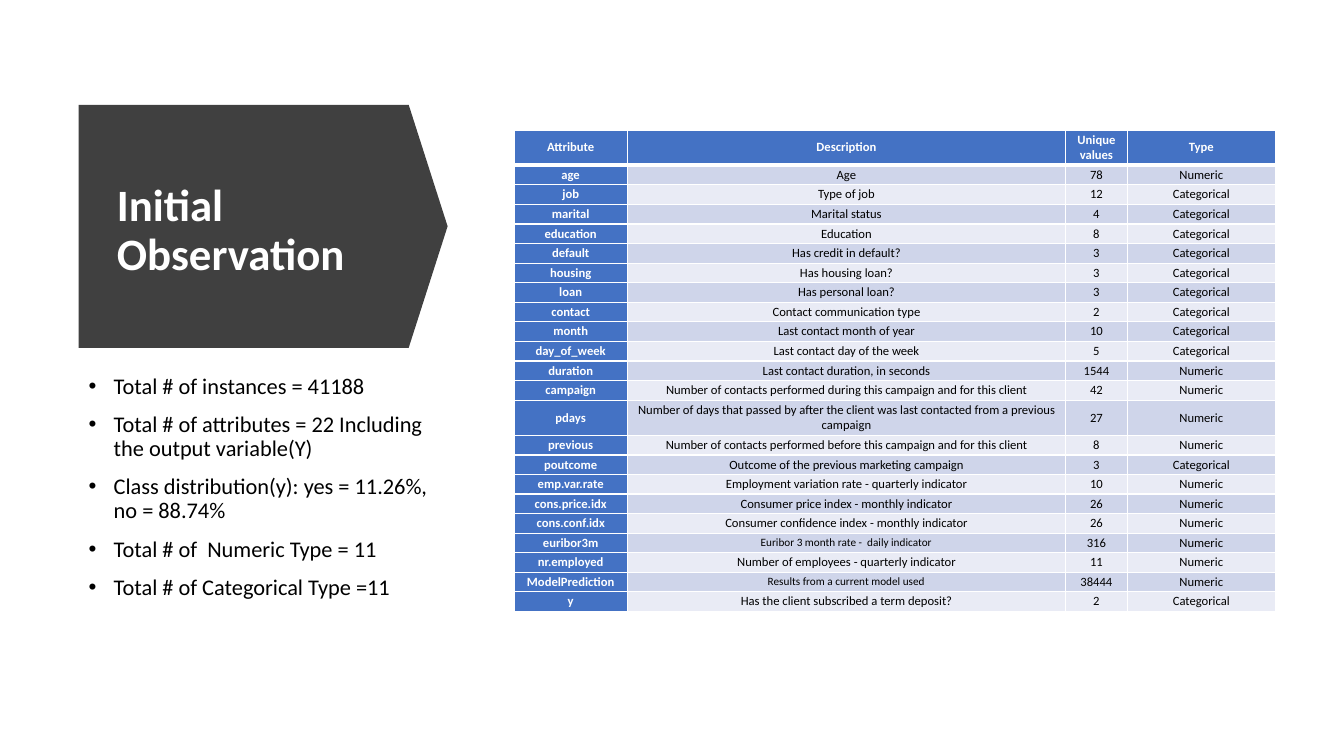
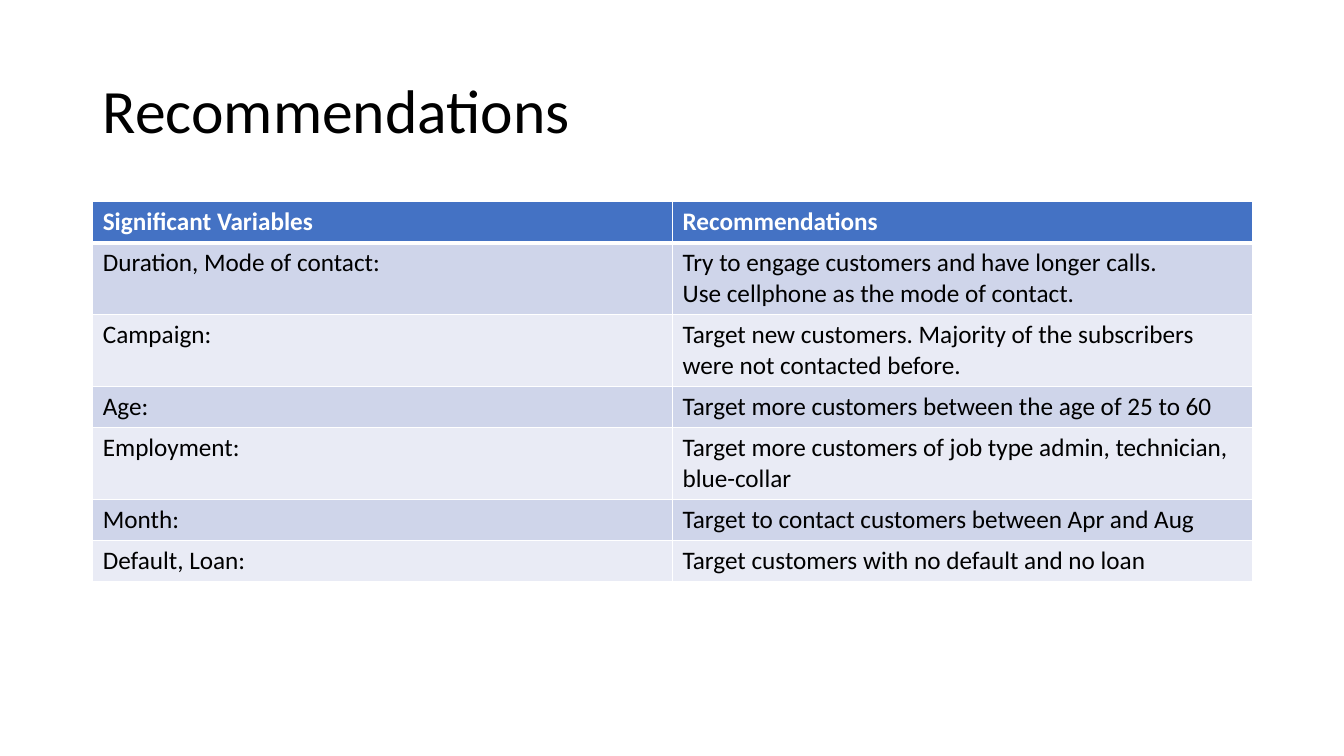
from dataclasses import dataclass

from lxml.etree import SubElement
from pptx import Presentation
from pptx.dml.color import RGBColor as RGB
from pptx.enum.shapes import MSO_SHAPE as Shape
from pptx.enum.text import MSO_ANCHOR as Anchor, MSO_AUTO_SIZE as AutoSize, PP_ALIGN as Align
from pptx.oxml.ns import qn
from pptx.util import Inches, Pt


@dataclass(frozen=True)
class Theme:
    font: str = "Calibri"
    white: RGB = RGB(0xFF, 0xFF, 0xFF)
    black: RGB = RGB(0, 0, 0)
    banner: RGB = RGB(0x40, 0x40, 0x40)
    accent: RGB = RGB(0x44, 0x72, 0xC4)
    bands: tuple = (RGB(0xCF, 0xD5, 0xEA), RGB(0xE9, 0xEB, 0xF5))
    title: int = 44
    banner_title: int = 32
    body: int = 16
    table: int = 18
    small_table: int = 9
    smallest: int = 8
    line_spacing: float = 0.9
    thin: int = 1
    thick: int = 3


THEME = Theme()


def format_text(frame, size, color, bold=False, align=Align.LEFT):
    for paragraph in frame.paragraphs:
        paragraph.alignment = align
        for run in paragraph.runs:
            font = run.font
            font.name, font.size, font.bold = THEME.font, Pt(size), bold
            font.color.rgb = color


def add_banded_table(slide, left, top, widths, heights, rows, size, align, header_column):
    """Add a table with white rules, an accent header and alternating row fills."""
    frame = slide.shapes.add_table(len(rows), len(widths), Inches(left), Inches(top),
                                   Inches(sum(widths)), Inches(sum(heights)))
    table = frame.table
    table.first_col = header_column
    for column, width in zip(table.columns, widths):
        column.width = Inches(width)
    for row_index, (values, height) in enumerate(zip(rows, heights)):
        table.rows[row_index].height = Inches(height)
        for column_index, value in enumerate(values):
            cell = table.cell(row_index, column_index)
            properties = cell._tc.get_or_add_tcPr()
            for side in ("lnL", "lnR", "lnT", "lnB"):
                under_header = (row_index, side) in ((0, "lnB"), (1, "lnT"))
                width = THEME.thick if under_header else THEME.thin
                line = SubElement(properties, qn(f"a:{side}"), w=str(Pt(width)))
                fill = SubElement(line, qn("a:solidFill"))
                SubElement(fill, qn("a:srgbClr"), val=str(THEME.white))
            is_header = row_index == 0 or (header_column and column_index == 0)
            cell.fill.solid()
            cell.fill.fore_color.rgb = THEME.accent if is_header else THEME.bands[(row_index - 1) % 2]
            cell.text_frame.text = value
            format_text(cell.text_frame, size, THEME.white if is_header else THEME.black,
                        is_header, align)
    return table


presentation = Presentation()
presentation.slide_width, presentation.slide_height = Inches(13.33), Inches(7.5)
title_only = presentation.slide_layouts[5]

# Titles
titles = (
    ("Initial Observation", (1.06, 1.32, 2.92, 1.95), THEME.banner_title, THEME.white, True),
    ("Recommendations", (0.92, 0.4, 11.5, 1.45), THEME.title, THEME.black, False),
)
for text, box, size, color, bold in titles:
    slide = presentation.slides.add_slide(title_only)
    title = slide.shapes.title
    title.left, title.top, title.width, title.height = map(Inches, box)
    frame = title.text_frame
    frame.text = text
    frame.word_wrap = True
    frame.auto_size = AutoSize.NONE
    frame.vertical_anchor = Anchor.MIDDLE
    frame.paragraphs[0].line_spacing = THEME.line_spacing
    format_text(frame, size, color, bold)
observation, recommendations = presentation.slides

# Initial observation: banner behind the title
banner = observation.shapes.add_shape(Shape.PENTAGON, Inches(0.78), Inches(1.04),
                                      Inches(3.66), Inches(2.41))
banner.adjustments[0] = 0.16
banner.shadow.inherit = False
banner.fill.solid()
banner.fill.fore_color.rgb = THEME.banner
banner.line.fill.background()
observation.shapes.title.element.addprevious(banner.element)

# Initial observation: key facts
facts = (
    "Total # of instances = 41188",
    "Total # of attributes = 22 Including the output variable(Y)",
    "Class distribution(y): yes = 11.26%, no = 88.74%",
    "Total # of  Numeric Type = 11",
    "Total # of Categorical Type =11",
)
facts_box = observation.shapes.add_textbox(Inches(0.78), Inches(3.67), Inches(3.66), Inches(2.65))
frame = facts_box.text_frame
frame.word_wrap = True
frame.text = "\n".join(facts)
format_text(frame, THEME.body, THEME.black)
for paragraph in frame.paragraphs:
    paragraph.line_spacing = THEME.line_spacing
    paragraph.space_before = Pt(10)
    properties = paragraph._p.get_or_add_pPr()
    properties.set("marL", str(Inches(0.25)))
    properties.set("indent", str(-Inches(0.25)))
    SubElement(properties, qn("a:buFont"), typeface="Arial")
    SubElement(properties, qn("a:buChar"), char="•")

# Initial observation: attribute table
attributes = (
    ("Attribute", "Description", "Unique values", "Type"),
    ("age", "Age", "78", "Numeric"),
    ("job", "Type of job", "12", "Categorical"),
    ("marital", "Marital status", "4", "Categorical"),
    ("education", "Education", "8", "Categorical"),
    ("default", "Has credit in default?", "3", "Categorical"),
    ("housing", "Has housing loan?", "3", "Categorical"),
    ("loan", "Has personal loan?", "3", "Categorical"),
    ("contact", "Contact communication type", "2", "Categorical"),
    ("month", "Last contact month of year", "10", "Categorical"),
    ("day_of_week", "Last contact day of the week", "5", "Categorical"),
    ("duration", "Last contact duration, in seconds", "1544", "Numeric"),
    ("campaign", "Number of contacts performed during this campaign and for this client",
     "42", "Numeric"),
    ("pdays", "Number of days that passed by after the client was last contacted "
     "from a previous campaign", "27", "Numeric"),
    ("previous", "Number of contacts performed before this campaign and for this client",
     "8", "Numeric"),
    ("poutcome", "Outcome of the previous marketing campaign", "3", "Categorical"),
    ("emp.var.rate", "Employment variation rate - quarterly indicator", "10", "Numeric"),
    ("cons.price.idx", "Consumer price index - monthly indicator", "26", "Numeric"),
    ("cons.conf.idx", "Consumer confidence index - monthly indicator", "26", "Numeric"),
    ("euribor3m", "Euribor 3 month rate -  daily indicator", "316", "Numeric"),
    ("nr.employed", "Number of employees - quarterly indicator", "11", "Numeric"),
    ("ModelPrediction", "Results from a current model used", "38444", "Numeric"),
    ("y", "Has the client subscribed a term deposit?", "2", "Categorical"),
)
two_line_rows = ("Attribute", "pdays")
tall = 0.35
short = (4.78 - tall * len(two_line_rows)) / (len(attributes) - len(two_line_rows))
heights = [tall if row[0] in two_line_rows else short for row in attributes]
table = add_banded_table(observation, 5.1, 1.29, (1.12, 4.35, 0.61, 1.47), heights,
                         attributes, THEME.small_table, Align.CENTER, True)
for cell in table.iter_cells():
    cell.vertical_anchor = Anchor.MIDDLE
    cell.margin_left = cell.margin_right = Inches(0.04)
    cell.margin_top = cell.margin_bottom = 0
for row_index, row in enumerate(attributes):
    if row[0] in ("euribor3m", "ModelPrediction"):
        format_text(table.cell(row_index, 1).text_frame, THEME.smallest, THEME.black,
                    align=Align.CENTER)

# Recommendations table
advice = (
    ("Significant Variables", "Recommendations"),
    ("Duration, Mode of contact:",
     "Try to engage customers and have longer calls.\nUse cellphone as the mode of contact."),
    ("Campaign:",
     "Target new customers. Majority of the subscribers were not contacted before."),
    ("Age:", "Target more customers between the age of 25 to 60"),
    ("Employment:", "Target more customers of job type admin, technician, blue-collar"),
    ("Month:", "Target to contact customers between Apr and Aug"),
    ("Default, Loan:", "Target customers with no default and no loan"),
)
add_banded_table(recommendations, 0.92, 2, (5.75, 5.75), [0.41] * len(advice),
                 advice, THEME.table, Align.LEFT, False)

presentation.save("out.pptx")
